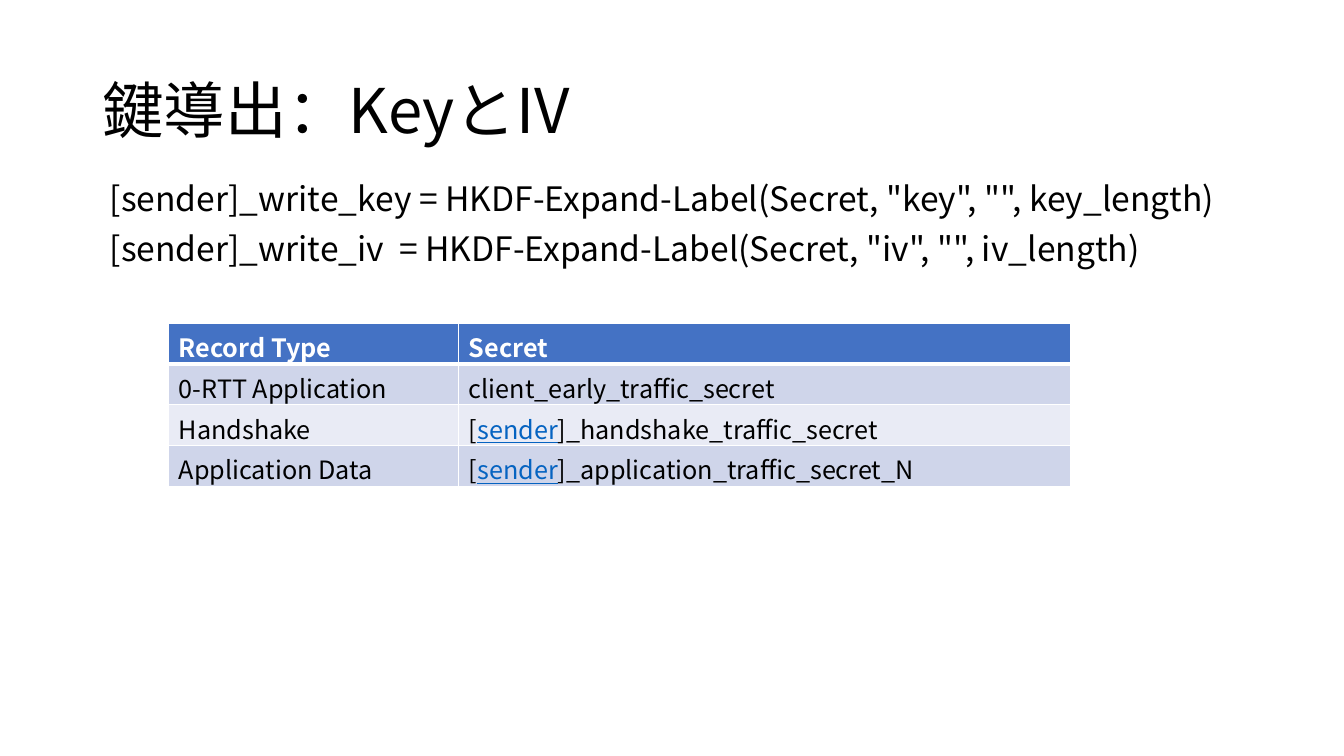
from lxml.etree import SubElement
from pptx import Presentation
from pptx.dml.color import RGBColor
from pptx.enum.text import MSO_ANCHOR
from pptx.oxml.ns import qn
from pptx.util import Pt

# Content
TITLE = ["鍵導出：KeyとIV"]
FORMULAS = [
    ' [sender]_write_key = HKDF-Expand-Label(Secret, "key", "", key_length)',
    ' [sender]_write_iv  = HKDF-Expand-Label(Secret, "iv", "", iv_length)',
]
LINKED = "sender"
RECORDS = [
    ("Record Type", "Secret"),
    ("0-RTT Application", "client_early_traffic_secret"),
    ("Handshake", "[sender]_handshake_traffic_secret"),
    ("Application Data", "[sender]_application_traffic_secret_N"),
]

# Style
FONT = "Noto Sans CJK JP"
BLACK, WHITE, LINK_BLUE = "000000", "FFFFFF", "0563C1"
HEADER_FILL, BAND_FILLS = "4472C4", ("E9EBF5", "CFD5EA")
COLUMN_WIDTHS = (207.2, 437)
ROW_HEIGHT = 29.2


def color(value):
    return RGBColor.from_string(value)


def add_span(para, text, size, ink=BLACK, bold=False, underline=False):
    span = para.add_run()
    span.text = text
    font = span.font
    font.size, font.bold, font.underline = Pt(size), bold, underline
    font.color.rgb = color(ink)
    font.name = FONT
    SubElement(span._r.get_or_add_rPr(), qn("a:ea"), typeface=FONT)


def add_text(page, place, lines, size, anchor, space_before):
    box = page.shapes.add_textbox(*map(Pt, place))
    frame = box.text_frame
    frame.word_wrap = True
    frame.vertical_anchor = anchor
    for index, line in enumerate(lines):
        para = frame.add_paragraph() if index else frame.paragraphs[0]
        para.line_spacing = 0.9
        para.space_before = Pt(space_before)
        add_span(para, line, size)


def set_borders(cell, row):
    widths = {"L": 1, "R": 1, "T": 3 if row == 1 else 1, "B": 3 if row == 0 else 1}
    properties = cell._tc.get_or_add_tcPr()
    for side, width in widths.items():
        line = SubElement(properties, qn(f"a:ln{side}"), w=str(Pt(width)))
        SubElement(SubElement(line, qn("a:solidFill")), qn("a:srgbClr"), val=WHITE)


def fill_cell(cell, text, row):
    header = row == 0
    set_borders(cell, row)
    cell.fill.solid()
    cell.fill.fore_color.rgb = color(HEADER_FILL if header else BAND_FILLS[row % 2])
    para = cell.text_frame.paragraphs[0]
    before, link, after = text.partition(LINKED)
    add_span(para, before, 18, WHITE if header else BLACK, bold=header)
    if link:
        add_span(para, link, 18, LINK_BLUE, underline=True)
        add_span(para, after, 18)


deck = Presentation()
deck.slide_width, deck.slide_height = Pt(960), Pt(540)
page = deck.slides.add_slide(deck.slide_layouts[6])

# Title and formulas
add_text(page, (66, 28.75, 828, 104.4), TITLE, 44, MSO_ANCHOR.MIDDLE, 0)
add_text(page, (66, 126.7, 828, 92.9), FORMULAS, 24, MSO_ANCHOR.TOP, 10)

# Table of secrets
table = page.shapes.add_table(
    len(RECORDS), len(COLUMN_WIDTHS), Pt(120.5), Pt(230.7),
    Pt(sum(COLUMN_WIDTHS)), Pt(ROW_HEIGHT * len(RECORDS)),
).table
for column, width in zip(table.columns, COLUMN_WIDTHS):
    column.width = Pt(width)
for row, record in enumerate(RECORDS):
    table.rows[row].height = Pt(ROW_HEIGHT)
    for column, text in enumerate(record):
        fill_cell(table.cell(row, column), text, row)

deck.save("out.pptx")
